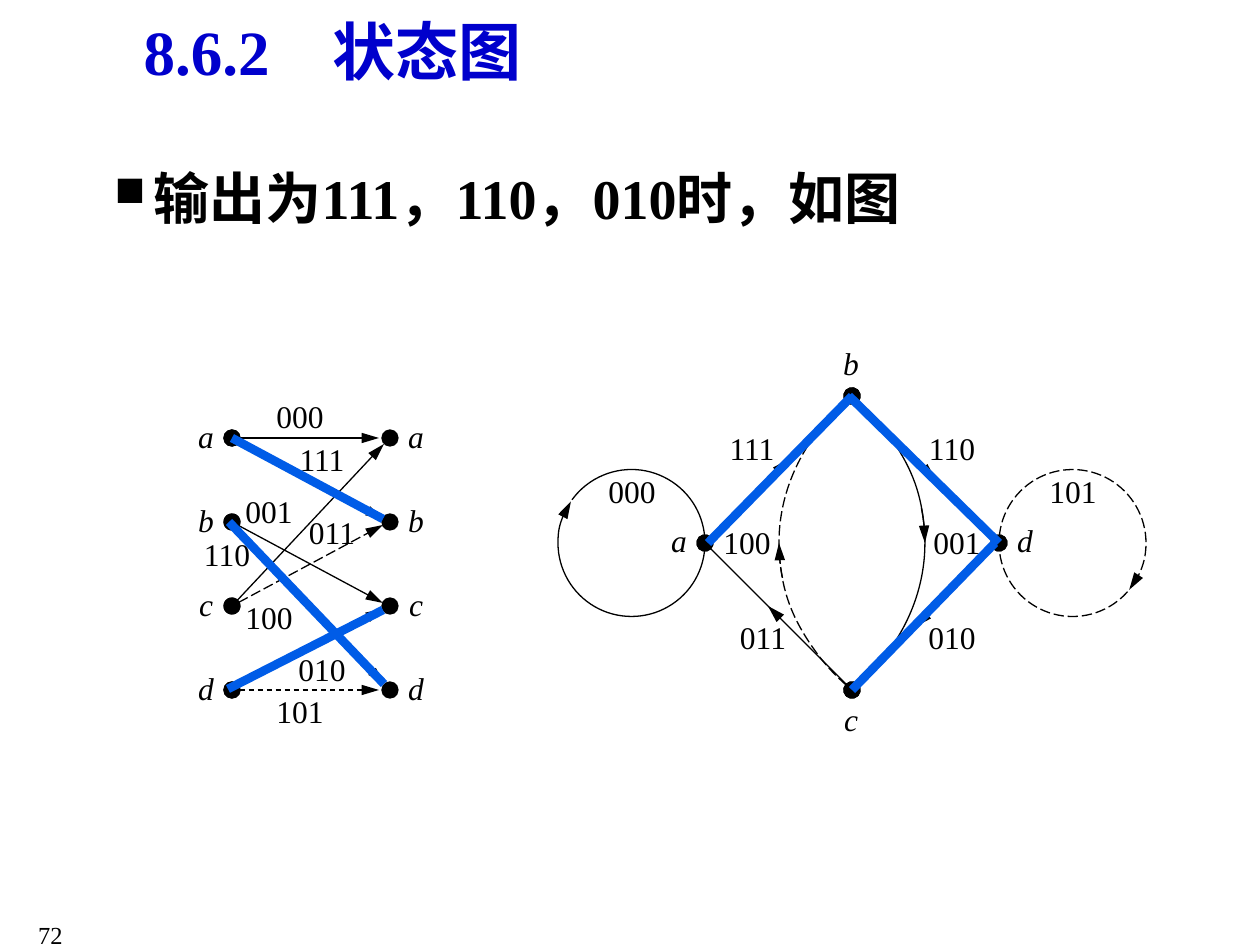
from math import atan2, degrees

from pptx import Presentation
from pptx.dml.color import RGBColor
from pptx.enum.dml import MSO_LINE_DASH_STYLE as Dash
from pptx.enum.shapes import MSO_CONNECTOR as Connector, MSO_SHAPE as Shape
from pptx.enum.text import MSO_ANCHOR as Anchor, PP_ALIGN as Align
from pptx.oxml.ns import qn
from pptx.util import Emu, Pt
from lxml.etree import SubElement

PX_PER_INCH = 126
COLORS = {"ink": "000000", "title": "0000CC", "path": "005CE7"}
DOT = ("oval", "lg")
ARROW = ("triangle", "med")


def px(length):
    return Emu(round(length * 914400 / PX_PER_INCH))


class Board:
    font = "Times New Roman"

    def __init__(self, slide):
        self.shapes = slide.shapes

    def text(self, words, left, top, width, height, size=18, color="ink", align=Align.CENTER,
             bold=False, italic=False, wrap=True, anchor=Anchor.TOP, inset=True, bullet=None):
        frame = self.shapes.add_textbox(px(left), px(top), px(width), px(height)).text_frame
        frame.word_wrap = wrap
        frame.vertical_anchor = anchor
        if not inset:
            frame.margin_left = frame.margin_right = frame.margin_top = frame.margin_bottom = 0
        paragraph = frame.paragraphs[0]
        paragraph.alignment = align
        if bullet:
            props = paragraph._p.get_or_add_pPr()
            props.set("marL", str(px(102)))
            props.set("indent", str(px(-39)))
            SubElement(props, qn("a:buSzPct"), val="75000")
            SubElement(props, qn("a:buChar"), char=bullet)
        run = paragraph.add_run()
        run.text = words
        run.font.name = self.font
        run.font.size = Pt(size)
        run.font.bold = bold
        run.font.italic = italic
        run.font.color.rgb = RGBColor.from_string(COLORS[color])

    def bits(self, code, x, y, width=94):
        self.text(code, x - width // 2, y - 21, width, 42, wrap=False, anchor=Anchor.MIDDLE)

    def state(self, name, x, y):
        self.text(name, x - 16, y - 21, 32, 42, italic=True, wrap=False, inset=False)

    def stroke(self, line, color="ink", width=0.75, dash=None, head=None, tail=None):
        line.color.rgb = RGBColor.from_string(COLORS[color])
        line.width = Pt(width)
        if dash:
            line.dash_style = dash
        for tag, end in (("a:headEnd", head), ("a:tailEnd", tail)):
            if end:
                kind, breadth = end
                SubElement(line._get_or_add_ln(), qn(tag), type=kind, w=breadth, len="lg")

    def line(self, start, end, **style):
        x1, y1, x2, y2 = (px(v) for v in (*start, *end))
        link = self.shapes.add_connector(Connector.STRAIGHT, x1, y1, x2, y2)
        self.stroke(link.line, **style)
        SubElement(link._element.spPr, qn("a:effectLst"))

    def dot(self, x, y):
        self.line((x, y), (x + 1, y), head=DOT)

    def edge(self, start, end, dash=None):
        """Line between two states with an arrow just past its middle."""
        (x1, y1), (x2, y2) = start, end
        tip, middle = ((x1 + (x2 - x1) * share, y1 + (y2 - y1) * share) for share in (4 / 7, 1 / 2))
        self.line(start, tip, dash=dash, head=DOT, tail=ARROW)
        self.line(middle, end, dash=dash, tail=DOT)

    def arc(self, center, radii, start, end, **style):
        """Clockwise arc, angles in degrees from the right-hand side."""
        (x, y), (rx, ry) = center, radii
        arc = self.shapes.add_shape(Shape.ARC, px(x - rx), px(y - ry), px(2 * rx), px(2 * ry))
        for i, angle in enumerate((start, end)):
            arc.adjustments[i] = angle * 60000 / 100000
        arc.fill.background()
        arc.shadow.inherit = False
        self.stroke(arc.line, **style)


def draw_trellis(board):
    left, right = 232, 390
    rows = {name: 438 + 84 * i for i, name in enumerate("abcd")}
    gaps = {0: (11, 0), 1: (7, 3), 2: (6, 6)}  # arrow tip to dot, by rows crossed

    # Transitions
    for origin, target, dash in (("a", "a", None), ("d", "d", Dash.DASH),
                                 ("a", "b", Dash.LONG_DASH), ("b", "c", None),
                                 ("d", "c", None), ("c", "a", None),
                                 ("b", "d", Dash.LONG_DASH), ("c", "b", Dash.LONG_DASH)):
        y1, y2 = rows[origin], rows[target]
        gap_x, gap_y = gaps[abs(y2 - y1) // 84]
        tip_y = y2 - gap_y if y2 > y1 else y2 + gap_y
        board.line((left, y1), (right - gap_x, tip_y), dash=dash, head=DOT, tail=ARROW)

    # States and output bits
    for name, y in rows.items():
        board.dot(right, y)
        board.state(name, left - 26, y)
        board.state(name, right + 26, y)
    for code, x, y in (("000", 300, 416), ("111", 322, 459), ("101", 300, 711), ("010", 322, 669),
                       ("110", 227, 554), ("100", 269, 617), ("011", 332, 532), ("001", 269, 511)):
        board.bits(code, x, y)


def draw_state_diagram(board):
    x, y, reach = 852, 543, 147
    a, b, c, d = (x - reach, y), (x, y - reach), (x, y + reach), (x + reach, y)

    # Curves between b and c
    radii = (252, 209)
    lean = degrees(atan2(reach, 179))
    right_bow, left_bow = (673, y), (1031, y)
    board.arc(right_bow, radii, 360 - lean, 0, head=DOT, tail=ARROW)
    board.arc(right_bow, radii, 352, lean)
    board.arc(left_bow, radii, 180 - lean, 180, dash=Dash.LONG_DASH, head=DOT, tail=ARROW)
    board.arc(left_bow, radii, 172, 180 + lean, dash=Dash.LONG_DASH)

    # Loops at a and d
    loop = (73.5, 73.5)
    board.arc((a[0] - 73.5, y), loop, 216, 214.5, tail=ARROW)
    board.arc((d[0] + 73.5, y), loop, 41.5, 39.5, dash=Dash.LONG_DASH, tail=ARROW)

    # Straight transitions
    for start, end, dash in ((a, b, Dash.LONG_DASH), (b, d, Dash.LONG_DASH),
                             (d, c, None), (c, a, None)):
        board.edge(start, end, dash)

    # States and output bits
    for name, cx, cy in (("a", 679, 542), ("b", 851, 365), ("c", 851, 721), ("d", 1025, 542)):
        board.state(name, cx, cy)
    for code, cx, cy in (("111", 752, 448), ("110", 952, 448), ("011", 763, 637), ("010", 952, 637)):
        board.bits(code, cx, cy)
    for code, cx, cy in (("000", 632, 491), ("100", 747, 542), ("001", 957, 542), ("101", 1073, 491)):
        board.bits(code, cx, cy, width=84)


def main():
    deck = Presentation()
    deck.slide_width, deck.slide_height = px(1260), px(945)
    board = Board(deck.slides.add_slide(deck.slide_layouts[6]))

    board.text("输出为111，110，010时，如图", 39, 157, 1143, 77, size=32,
               align=Align.LEFT, bold=True, bullet="■")
    draw_trellis(board)
    draw_state_diagram(board)

    # Highlighted path for 111, 110, 010
    for start, end in (((232, 438), (383, 519)), ((852, 396), (708, 543)),
                       ((229, 522), (384, 684)), ((995, 543), (852, 690)),
                       ((228, 689), (383, 610)), ((849, 396), (999, 543))):
        board.line(start, end, color="path", width=5)

    # Title and page number
    board.text("8.6.2　状态图", -73, 6, 811, 89, size=36, color="title", bold=True)
    board.text("72", -94, 914, 169, 63, size=14, align=Align.RIGHT)
    deck.save("out.pptx")


if __name__ == "__main__":
    main()
